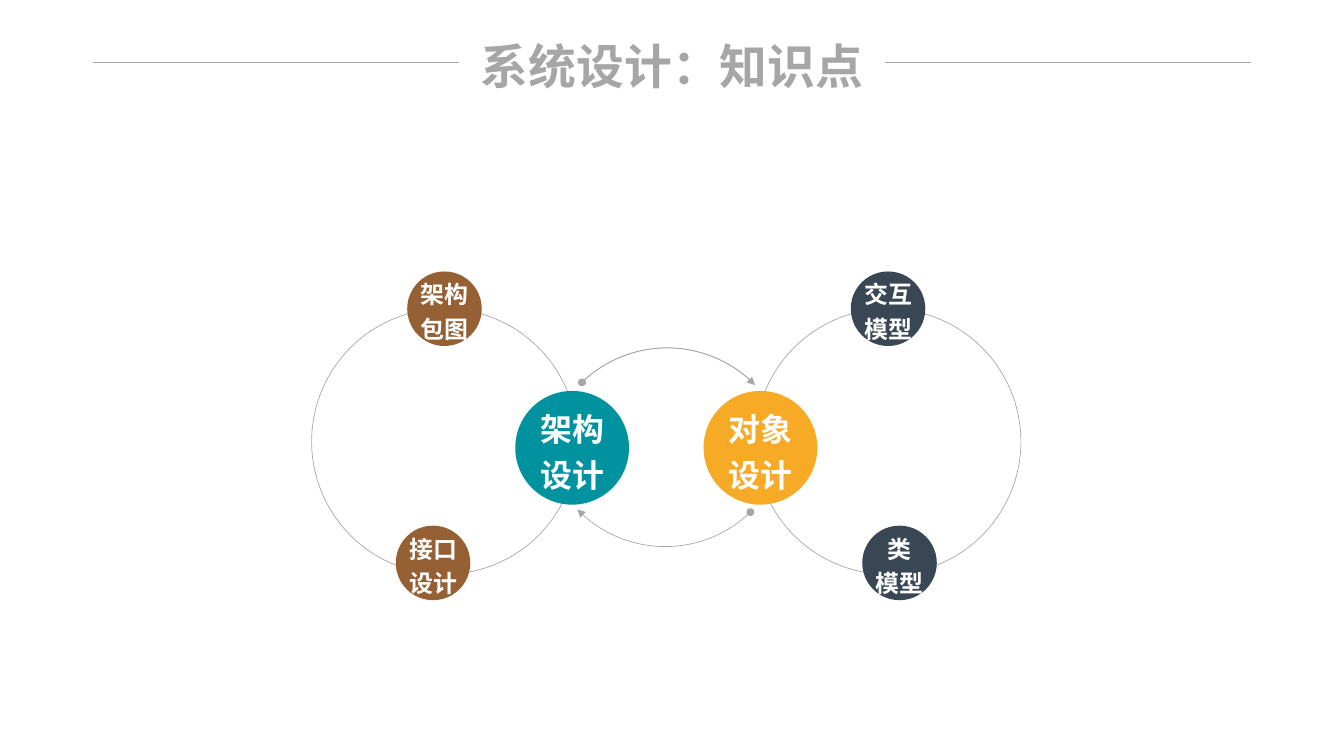
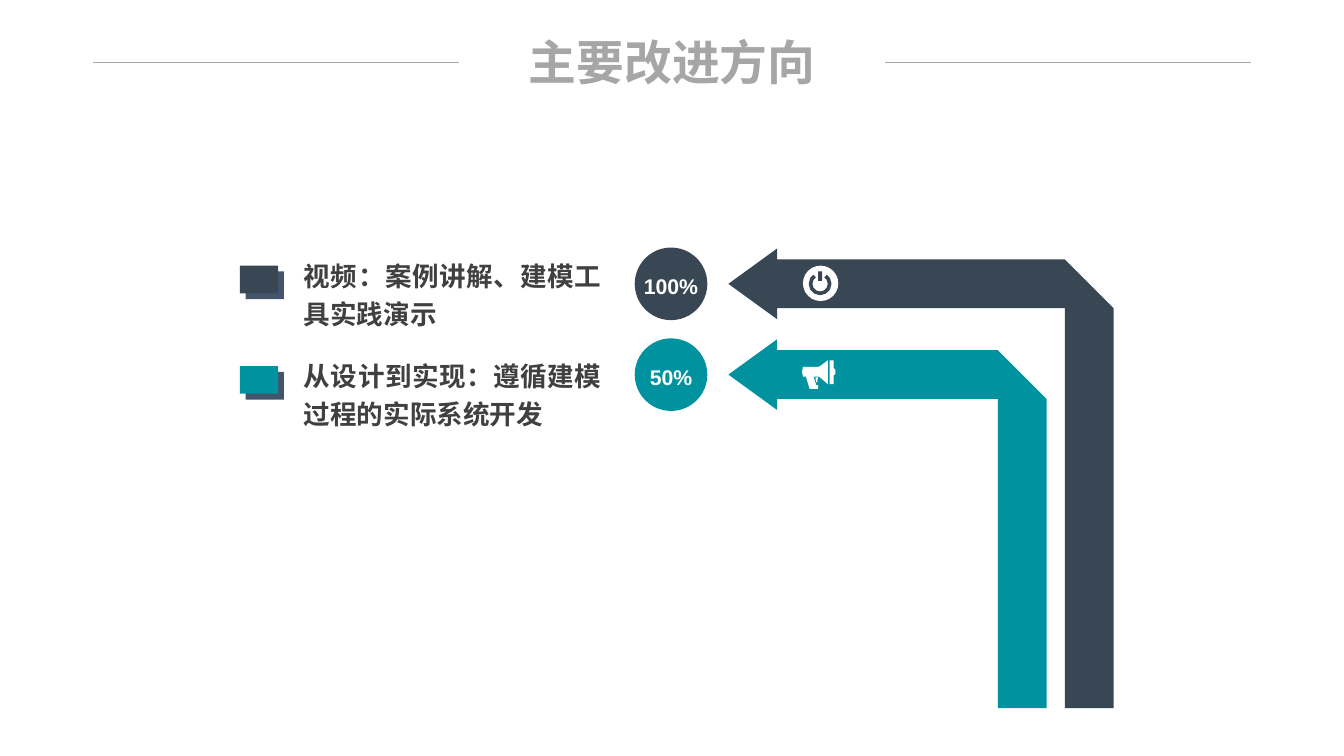
from lxml import etree
from pptx import Presentation
from pptx import util as u
from pptx.dml.color import RGBColor
from pptx.enum import shapes, text
from pptx.oxml.ns import qn

GRAY = RGBColor(0xA6, 0xA6, 0xA6)
TEAL = RGBColor(0x00, 0x93, 0x9F)
BROWN = RGBColor(0x95, 0x61, 0x34)
ORANGE = RGBColor(0xF6, 0xAA, 0x26)
NAVY = RGBColor(0x39, 0x47, 0x54)
SLATE = RGBColor(0x44, 0x54, 0x6A)
DARK = RGBColor(0x40, 0x40, 0x40)
WHITE = RGBColor(0xFF, 0xFF, 0xFF)
KIND = shapes.MSO_SHAPE
CENTER = text.PP_ALIGN.CENTER
JUSTIFY = text.PP_ALIGN.JUSTIFY


def style(shape, fill=None, line=None, width=0.5):
    shape.shadow.inherit = False
    if fill is None:
        shape.fill.background()
    else:
        shape.fill.solid()
        shape.fill.fore_color.rgb = fill
    if line is None:
        shape.line.fill.background()
    else:
        shape.line.color.rgb = line
        shape.line.width = u.Pt(width)
    return shape


def write(box, words, size, color, align=CENTER, spacing=1.2, inset=0, wrap=True):
    frame = box.text_frame
    frame.margin_left = frame.margin_right = u.Inches(inset)
    frame.margin_top = frame.margin_bottom = u.Inches(inset / 2)
    frame.word_wrap = wrap
    frame.text = words
    para = frame.paragraphs[0]
    para.alignment = align
    para.line_spacing = spacing
    for span in para.runs:
        span.font.name = "Arial"
        span.font.size = u.Pt(size)
        span.font.bold = True
        span.font.color.rgb = color
    return frame


deck = Presentation()
deck.slide_width = u.Inches(14.06)
deck.slide_height = u.Inches(7.91)

pages = []
for title, top in [("系统设计：知识点", 0.38), ("主要改进方向", 0.34)]:
    page = deck.slides.add_slide(deck.slide_layouts[6])
    pages.append(page)
    box = page.shapes.add_textbox(u.Inches(4.87), u.Inches(top), u.Inches(4.32), u.Inches(0.61))
    frame = write(box, title, 36, GRAY, spacing=1.0)
    frame.vertical_anchor = text.MSO_ANCHOR.MIDDLE
    frame.auto_size = text.MSO_AUTO_SIZE.SHAPE_TO_FIT_TEXT
    for left in (0.97, 9.26):
        rule = page.shapes.add_connector(
            shapes.MSO_CONNECTOR.STRAIGHT,
            u.Inches(left), u.Inches(0.65), u.Inches(left + 3.83), u.Inches(0.65))
        rule.line.color.rgb = GRAY
        rule.line.width = u.Pt(0.5)
        etree.SubElement(rule._element.spPr, qn("a:effectLst"))

knowledge, improvement = pages

MIRROR = 13.94
RING, HUB, NODE = 2.78, 1.19, 0.78
sides = [
    (False, [("架构设计", TEAL), ("架构包图", BROWN), ("接口设计", BROWN)]),
    (True, [("对象设计", ORANGE), ("交互模型", NAVY), ("类\v模型", NAVY)]),
]
places = [(5.39, 4.09, HUB, 24), (4.26, 2.84, NODE, 18), (4.14, 5.5, NODE, 18)]
for mirrored, topics in sides:
    left = MIRROR - 3.26 - RING if mirrored else 3.26
    style(knowledge.shapes.add_shape(
        KIND.OVAL, u.Inches(left), u.Inches(3.23), u.Inches(RING), u.Inches(RING)), line=GRAY)
    for (words, color), (left, top, side, size) in zip(topics, places):
        if mirrored:
            left = MIRROR - left - side
        circle = style(knowledge.shapes.add_shape(
            KIND.OVAL, u.Inches(left), u.Inches(top), u.Inches(side), u.Inches(side)), color)
        write(circle, words, size, WHITE).vertical_anchor = text.MSO_ANCHOR.MIDDLE

ARROW_LEFT = 7.62
HEAD_LEFT = 8.13
BAND = 0.51
ARROW_BOTTOM = 7.41
rows = [
    ("100%", "视频：案例讲解、建模工具实践演示", NAVY, 2.97, 11.65, 2.6),
    ("50%", "从设计到实现：遵循建模过程的实际系统开发", TEAL, 3.92, 10.95, 3.65),
]
outlines = []
for share, words, color, middle, right, top in rows:
    circle = style(improvement.shapes.add_shape(
        KIND.OVAL, u.Inches(6.64), u.Inches(middle - 0.38), u.Inches(0.76), u.Inches(0.76)), color)
    write(circle, share, 16, WHITE, wrap=False).vertical_anchor = text.MSO_ANCHOR.MIDDLE
    for shift, fill in [(0.06, SLATE), (0, color)]:
        style(improvement.shapes.add_shape(
            KIND.RECTANGLE, u.Inches(2.51 + shift), u.Inches(top + 0.18 + shift),
            u.Inches(0.4), u.Inches(0.29)), fill)
    box = improvement.shapes.add_textbox(
        u.Inches(3.08), u.Inches(top), u.Inches(3.31), u.Inches(0.91))
    frame = write(box, words, 20, DARK, JUSTIFY, inset=0.1)
    frame.auto_size = text.MSO_AUTO_SIZE.SHAPE_TO_FIT_TEXT
    upper, lower, inner = middle - BAND / 2, middle + BAND / 2, right - BAND
    outlines.append((color, [[
        (HEAD_LEFT, middle - 0.37), (HEAD_LEFT, upper), (inner, upper), (right, lower),
        (right, ARROW_BOTTOM), (inner, ARROW_BOTTOM), (inner, lower), (HEAD_LEFT, lower),
        (HEAD_LEFT, middle + 0.37), (ARROW_LEFT, middle)]]))

megaphone = [
    [(8.4, 3.84), (8.56, 3.84), (8.58, 3.83), (8.66, 3.77), (8.66, 4.02), (8.58, 3.95),
     (8.56, 3.94), (8.51, 3.94), (8.54, 4.03), (8.56, 4.03), (8.56, 4.07), (8.47, 4.07),
     (8.43, 3.94), (8.4, 3.94), (8.39, 3.89)],
    [(8.72, 3.85), (8.74, 3.87), (8.74, 3.91), (8.72, 3.93), (8.72, 4.02), (8.68, 4.02),
     (8.68, 3.77), (8.72, 3.77)],
    [(8.56, 3.95), (8.53, 3.95), (8.54, 4), (8.55, 4), (8.55, 3.98)],
]
outlines.append((WHITE, megaphone))
for color, contours in outlines:
    builder = None
    for contour in contours:
        points = [(u.Inches(x), u.Inches(y)) for x, y in contour]
        if builder is None:
            builder = improvement.shapes.build_freeform(*points[0], scale=1.0)
        else:
            builder.move_to(*points[0])
        builder.add_line_segments(points[1:], close=True)
    style(builder.convert_to_shape(), color)

style(improvement.shapes.add_shape(
    KIND.OVAL, u.Inches(8.4), u.Inches(2.78), u.Inches(0.37), u.Inches(0.37)), WHITE)
style(improvement.shapes.add_shape(
    KIND.RECTANGLE, u.Inches(8.56), u.Inches(2.84), u.Inches(0.04), u.Inches(0.1)), NAVY)

arcs = [
    (knowledge, 6.98, 4.92, 1.28, 225.9, 315.9, GRAY, 0.75, True),
    (knowledge, 6.96, 4.44, 1.28, 45.9, 135.9, GRAY, 0.5, True),
    (improvement, 8.58, 2.97, 0.1, 305, 235, NAVY, 2.75, False),
]
for page, x, y, radius, start, end, color, width, arrow in arcs:
    arc = style(page.shapes.add_shape(
        KIND.ARC, u.Inches(x - radius), u.Inches(y - radius),
        u.Inches(2 * radius), u.Inches(2 * radius)), line=color, width=width)
    for index, angle in enumerate((start, end)):
        arc.adjustments[index] = (angle if angle <= 180 else angle - 360) * 0.6 % 216
    if arrow:
        outline = arc.line._get_or_add_ln()
        etree.SubElement(outline, qn("a:headEnd"), type="oval")
        etree.SubElement(outline, qn("a:tailEnd"), type="triangle")

deck.save("out.pptx")
